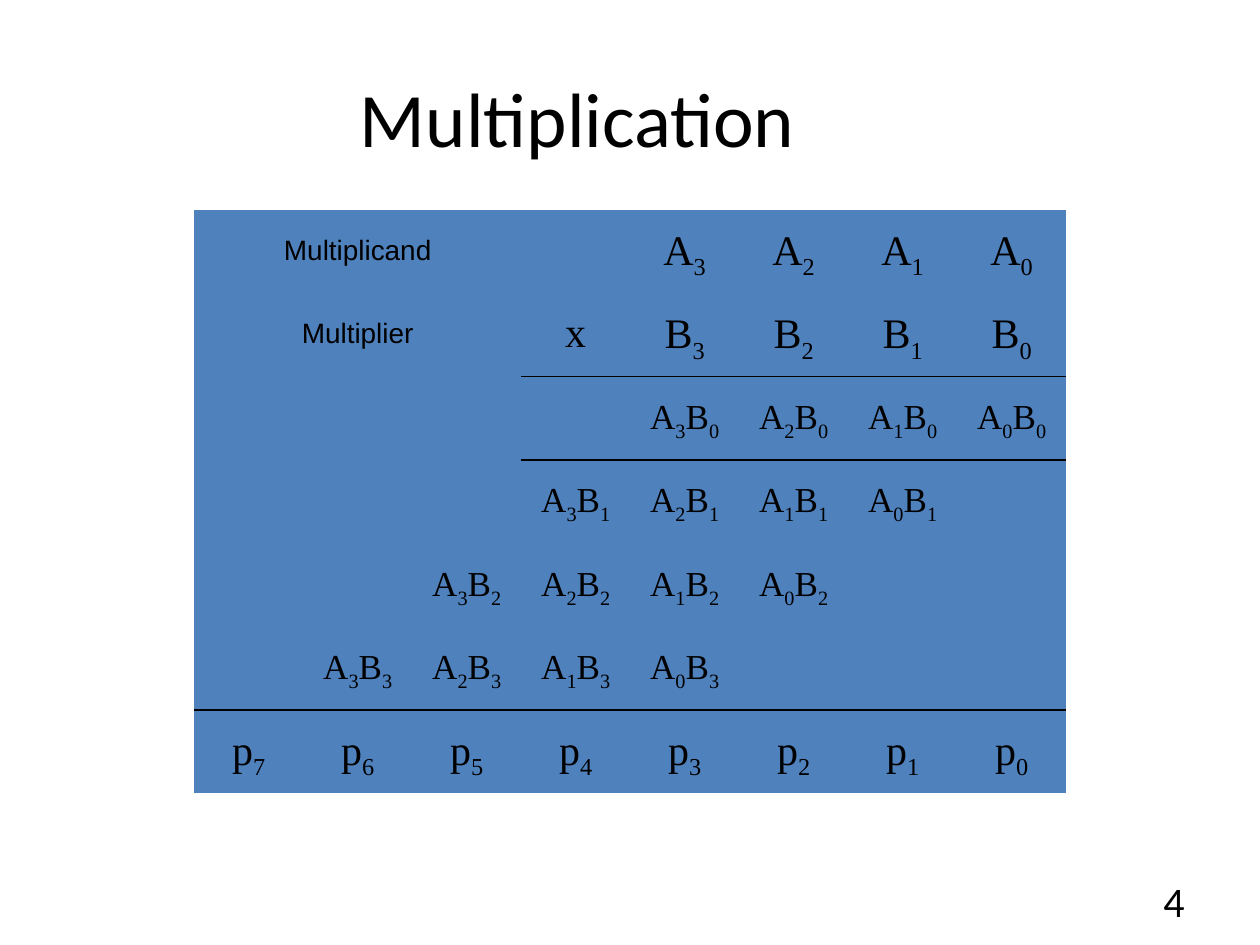
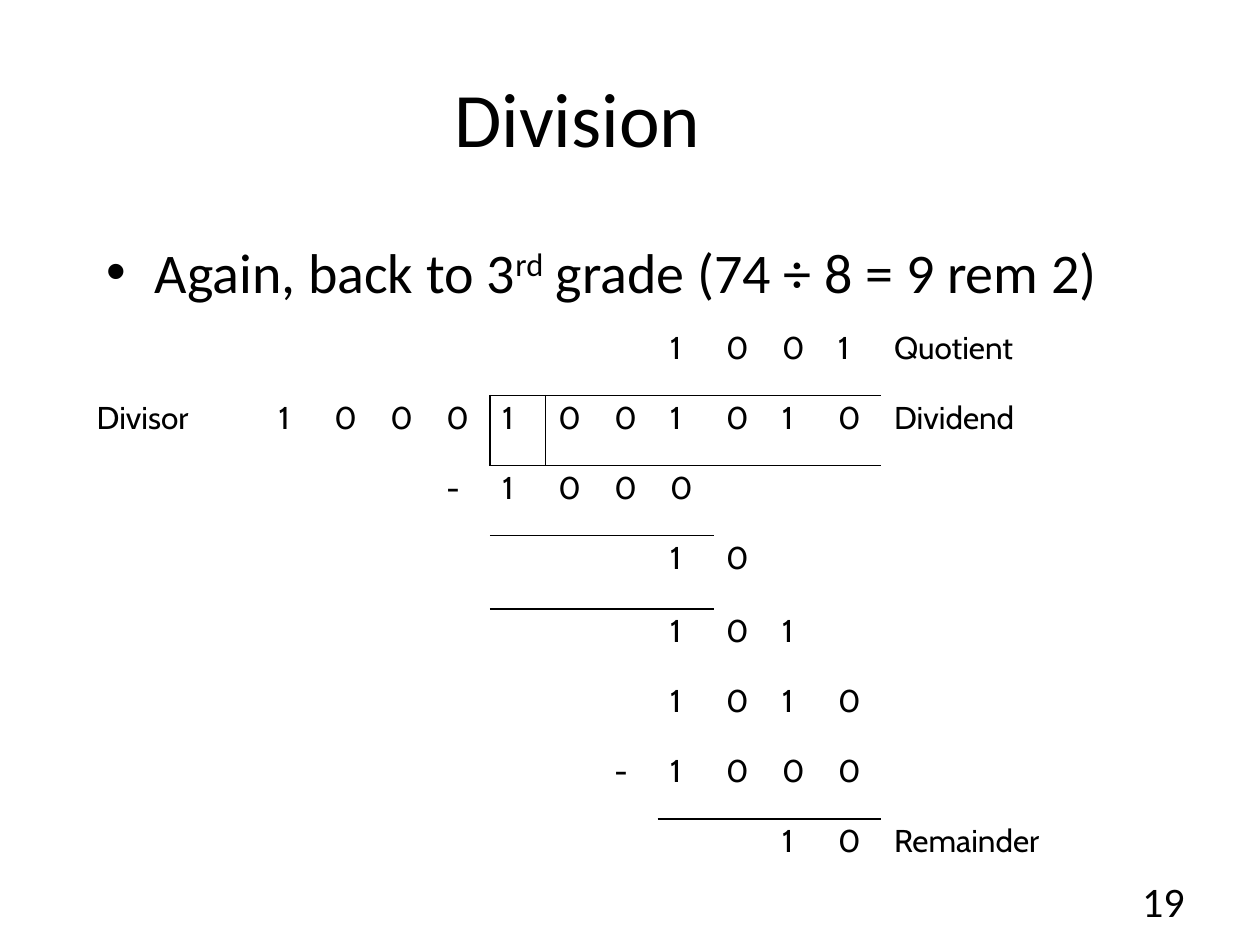
import itertools

import pptx
import pptx.dml.color
import pptx.enum.text
import pptx.oxml
import pptx.oxml.ns
import pptx.util

BLACK = pptx.dml.color.RGBColor(0x00, 0x00, 0x00)
BLUE = pptx.dml.color.RGBColor(0x4F, 0x81, 0xBD)
ALIGN = pptx.enum.text.PP_ALIGN
ANCHOR = pptx.enum.text.MSO_ANCHOR
SUBSCRIPT, NORMAL, SUPERSCRIPT = -25000, 0, 30000
PLAIN_TABLE_STYLE = "{2D5ABB26-0587-4C30-8999-92F81FD0307C}"
BITS = 4


class Deck:
    """Places elements on the current slide, on a grid of 120 columns by 90 rows."""

    font = "Calibri"

    def __init__(self):
        self.presentation = pptx.Presentation()
        self.presentation.slide_width = pptx.util.Inches(10)
        self.presentation.slide_height = pptx.util.Inches(7.5)
        self.unit = self.presentation.slide_width / 120
        self.slide = None

    def grid(self, *lengths):
        return [pptx.util.Emu(round(length * self.unit)) for length in lengths]

    def start_slide(self, title, number):
        blank = self.presentation.slide_layouts[6]
        self.slide = self.presentation.slides.add_slide(blank)
        self.text((6, 3.6, 98, 15), [(title, NORMAL)], 44, ALIGN.CENTER)
        self.text((100, 83.4, 14, 4.8), [(str(number), NORMAL)], 24, ALIGN.RIGHT)

    def add_runs(self, paragraph, pieces, font, size, align):
        """Fill a paragraph with (text, baseline) pieces."""
        paragraph.alignment = align
        for words, baseline in pieces:
            run = paragraph.add_run()
            run.text = words
            run.font.name = font
            run.font.size = pptx.util.Pt(size)
            run.font.color.rgb = BLACK
            if baseline:
                run.font._element.set("baseline", str(baseline))

    def text(self, area, pieces, size, align, anchor=ANCHOR.MIDDLE):
        frame = self.slide.shapes.add_textbox(*self.grid(*area)).text_frame
        frame.word_wrap = True
        frame.vertical_anchor = anchor
        self.add_runs(frame.paragraphs[0], pieces, self.font, size, align)
        return frame.paragraphs[0]

    def bullet(self, area, pieces, size):
        point = self.text(area, pieces, size, ALIGN.LEFT, ANCHOR.TOP)
        properties = point._p.get_or_add_pPr()
        indent = pptx.util.Inches(0.38)
        properties.set("marL", str(indent))
        properties.set("indent", str(-indent))
        namespace = pptx.oxml.ns.nsdecls("a")
        for mark in ('buFont typeface="Arial"', 'buChar char="•"'):
            tag, attribute = mark.split()
            properties.append(pptx.oxml.parse_xml(f"<a:{tag} {namespace} {attribute}/>"))

    def table(self, corner, widths, heights, anchor, fill=None):
        frame = self.slide.shapes.add_table(
            len(heights), len(widths), *self.grid(*corner, sum(widths), sum(heights)))
        table = frame.table
        table.first_row = table.horz_banding = False
        style = table._tbl.tblPr.find(pptx.oxml.ns.qn("a:tableStyleId"))
        style.text = PLAIN_TABLE_STYLE
        for column, width in zip(table.columns, self.grid(*widths)):
            column.width = width
        for row, height in zip(table.rows, self.grid(*heights)):
            row.height = height
        for cell in table.iter_cells():
            cell.vertical_anchor = anchor
            if fill is None:
                cell.fill.background()
            else:
                cell.fill.solid()
                cell.fill.fore_color.rgb = fill
        return table

    def cell(self, cell, pieces, font, size, align):
        paragraph = cell.text_frame.paragraphs[0]
        paragraph.line_spacing = 0.9
        self.add_runs(paragraph, pieces, font, size, align)

    def border(self, cell, side):
        """Draw one side (L, R, T or B); where a cell has both, T comes before L."""
        line = pptx.oxml.parse_xml(
            f'<a:ln{side} {pptx.oxml.ns.nsdecls("a")} w="12700"><a:solidFill>'
            f'<a:srgbClr val="{BLACK}"/></a:solidFill></a:ln{side}>')
        cell._tc.get_or_add_tcPr().insert(0, line)

    def rule_under(self, table, row, columns):
        for column in columns:
            self.border(table.cell(row, column), "B")
            self.border(table.cell(row + 1, column), "T")


def subscripted(term):
    """Split a term such as A3B0 so that its digits stand below the line."""
    return [("".join(characters), SUBSCRIPT if digit else NORMAL)
            for digit, characters in itertools.groupby(term, str.isdigit)]


def multiplication(deck):
    deck.start_slide("Multiplication", 4)
    product = deck.table((18.5, 20), [10.38] * 8, [7.94] * 7, ANCHOR.MIDDLE, BLUE)

    def put(row, column, term, size=24, font="Times New Roman"):
        deck.cell(product.cell(row, column), subscripted(term), font, size, ALIGN.CENTER)

    for row, operand in enumerate(("Multiplicand", "Multiplier")):
        product.cell(row, 0).merge(product.cell(row, 2))
        put(row, 0, operand, 16, "Arial")
        for bit in range(BITS):
            put(row, 7 - bit, f"{'AB'[row]}{bit}")
    put(1, 3, "x")
    for a, b in itertools.product(range(BITS), repeat=2):
        put(2 + b, 7 - a - b, f"A{a}B{b}", 20)
    for bit in range(2 * BITS):
        put(6, 7 - bit, f"p{bit}")
    deck.rule_under(product, 1, range(3, 8))
    deck.rule_under(product, 5, range(8))


def division(deck):
    deck.start_slide("Division", 19)
    deck.bullet((9, 22, 102, 58), [
        ("Again, back to 3", NORMAL), ("rd", SUPERSCRIPT),
        (" grade (74 ÷ 8 = 9 rem 2)", NORMAL)], 32)
    working = deck.table((8, 31), [17.33] + [5.33] * 11 + [27],
                         [6.67] * 3 + [7] + [6.67] * 4, ANCHOR.TOP)

    def put(row, column, words):
        deck.cell(working.cell(row, column), [(words, NORMAL)], "Cabin", 18, ALIGN.LEFT)

    digits = [(0, 8, "1001"), (1, 1, "10001001010"), (2, 4, "-1000"), (3, 8, "10"),
              (4, 8, "101"), (5, 8, "1010"), (6, 7, "-1000"), (7, 10, "10")]
    for row, first, sequence in digits:
        for column, digit in enumerate(sequence, first):
            put(row, column, digit)
    labels = [(0, 12, "Quotient"), (1, 0, "Divisor"), (1, 12, "Dividend"),
              (7, 12, "Remainder")]
    for label in labels:
        put(*label)

    deck.rule_under(working, 0, range(5, 12))
    deck.rule_under(working, 2, range(5, 9))
    deck.rule_under(working, 6, range(8, 12))
    deck.border(working.cell(1, 4), "R")
    deck.border(working.cell(1, 5), "L")


def main():
    deck = Deck()
    multiplication(deck)
    division(deck)
    deck.presentation.save("out.pptx")


if __name__ == "__main__":
    main()
